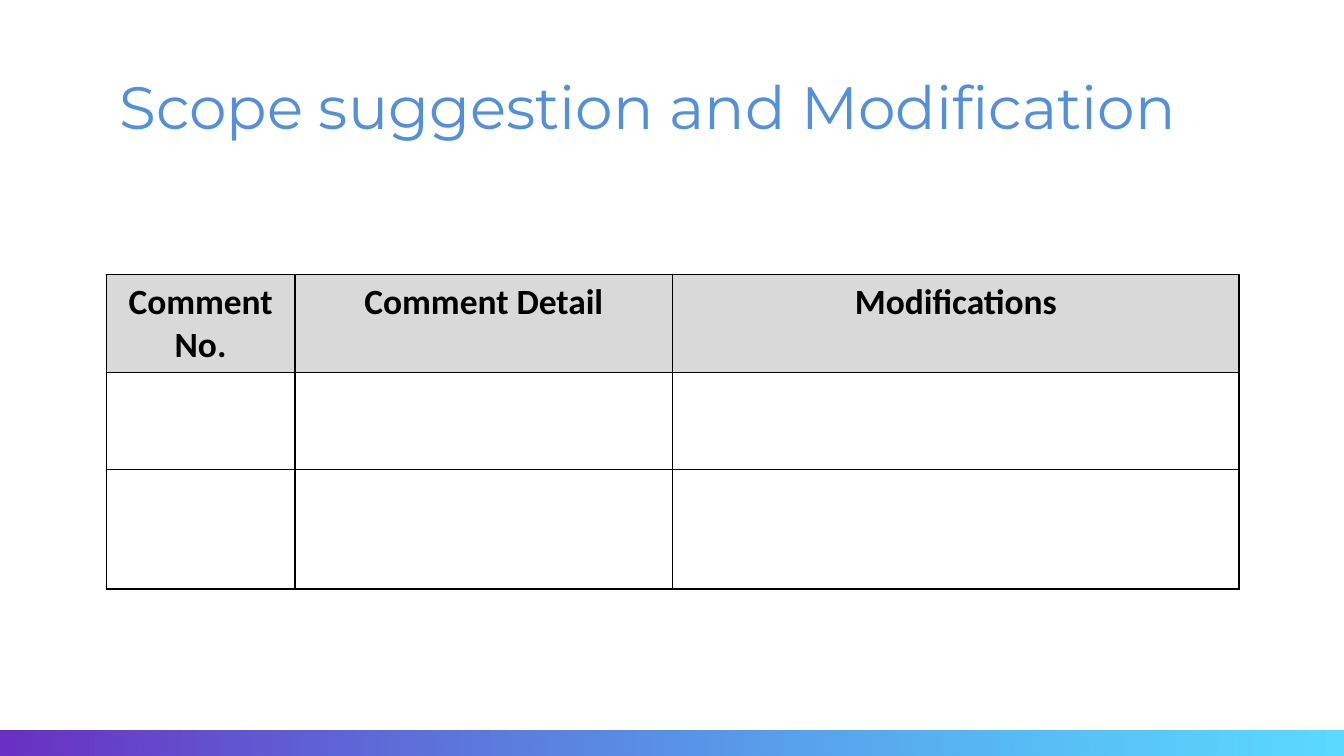
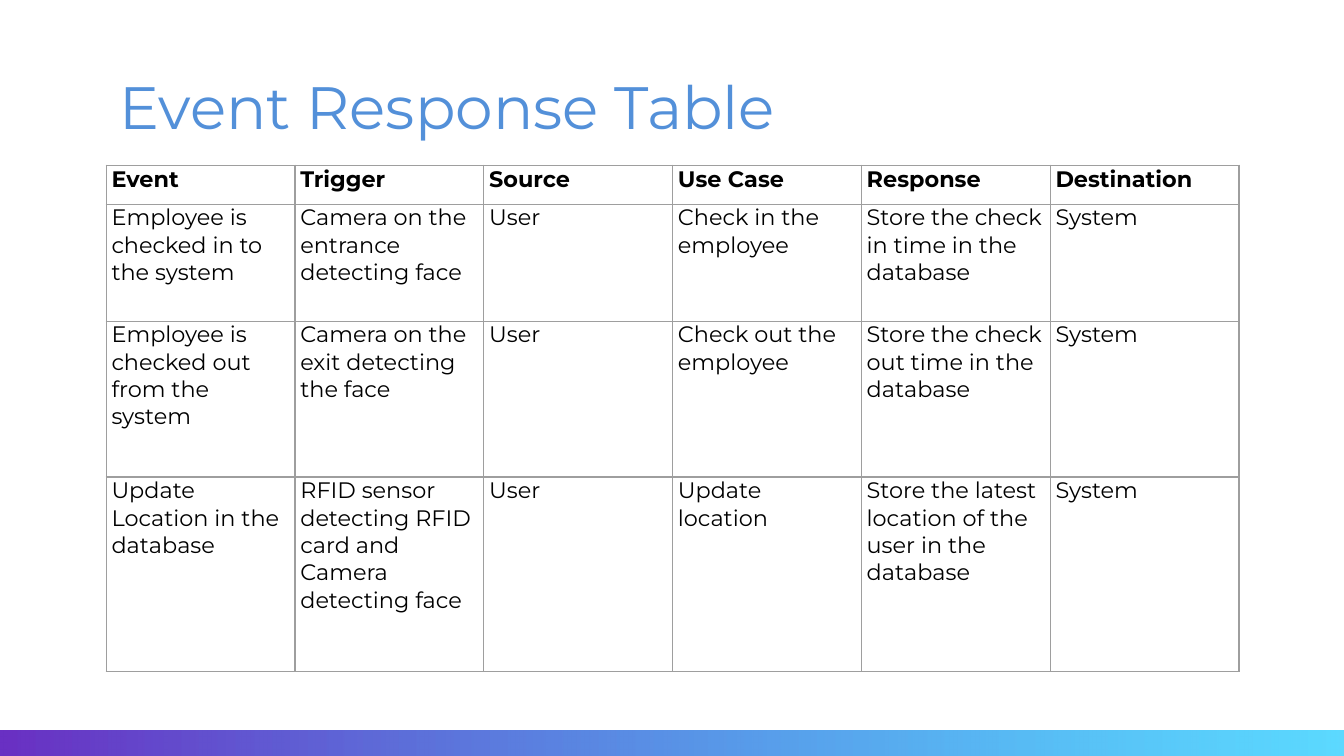
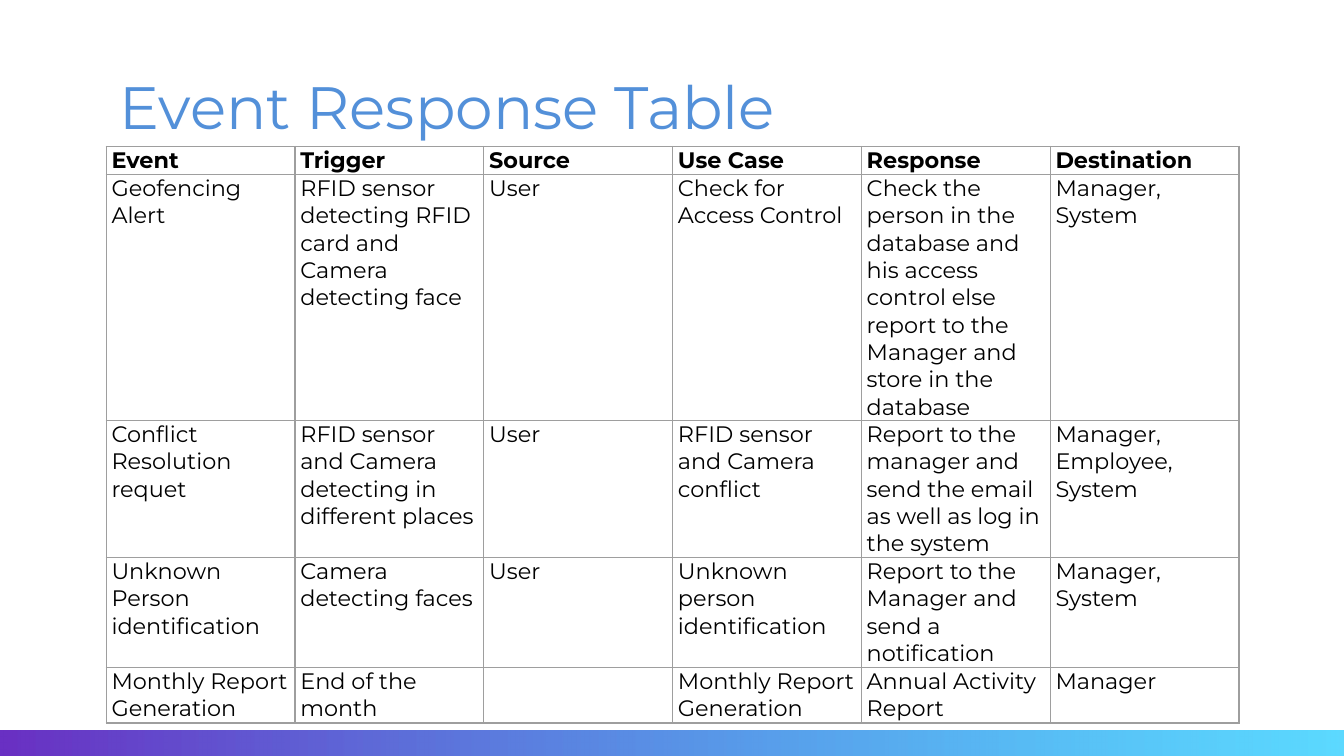
from dataclasses import dataclass

from lxml.etree import SubElement
from pptx import Presentation
from pptx.dml.color import RGBColor
from pptx.enum.shapes import MSO_SHAPE
from pptx.enum.text import MSO_ANCHOR, PP_ALIGN
from pptx.oxml.ns import qn
from pptx.slide import Slide
from pptx.table import _Cell as Cell
from pptx.text.text import TextFrame
from pptx.util import Inches, Pt


@dataclass(frozen=True)
class Theme:
    title_color: str = "5390D9"
    text_color: str = "000000"
    header_fill: str = "D9D9D9"
    grid_color: str = "9E9E9E"
    band_start: str = "6930C3"
    band_end: str = "00C4FF"
    band_end_opacity: int = 64
    font: str = "Montserrat"
    form_font: str = "Calibri"
    title_size: float = 32
    form_size: float = 19
    event_size: float = 12


THEME = Theme()
SLIDE_WIDTH = 10
SLIDE_HEIGHT = SLIDE_WIDTH * 9 / 16
MARGIN, CONTENT_WIDTH = 0.79, 8.43
BAND_HEIGHT = 0.19


@dataclass(frozen=True)
class TextStyle:
    font: str
    size: float
    color: str = THEME.text_color
    bold: bool = False
    align: PP_ALIGN = PP_ALIGN.LEFT


@dataclass(frozen=True)
class TableStyle:
    header: TextStyle
    body: TextStyle
    border_color: str
    border_width: float
    inset_x: float
    inset_y: float
    header_fill: str | None = None


@dataclass(frozen=True)
class TablePage:
    title: str
    top: float
    column_shares: tuple[int, ...]
    row_heights: tuple[float, ...]
    rows: tuple[tuple[str, ...], ...]  # "\n" starts a paragraph, "|" breaks a line
    style: TableStyle


TITLE_STYLE = TextStyle(THEME.font, THEME.title_size, THEME.title_color)
FORM_STYLE = TableStyle(
    header=TextStyle(THEME.form_font, THEME.form_size, bold=True, align=PP_ALIGN.CENTER),
    body=TextStyle(THEME.form_font, THEME.form_size),
    border_color=THEME.text_color,
    border_width=0.83,
    inset_x=0.09,
    inset_y=0.05,
    header_fill=THEME.header_fill,
)
EVENT_STYLE = TableStyle(
    header=TextStyle(THEME.font, THEME.event_size, bold=True),
    body=TextStyle(THEME.font, THEME.event_size),
    border_color=THEME.grid_color,
    border_width=0.75,
    inset_x=0.04,
    inset_y=0,
)

# Content
EVENT_TITLE = "Event Response Table"
EVENT_HEADER = ("Event", "Trigger", "Source", "Use Case", "Response", "Destination")
EVENT_SHARES = (1,) * len(EVENT_HEADER)
SENSOR_TRIGGER = "RFID sensor detecting RFID card and Camera detecting face"

PAGES = (
    TablePage(
        "Scope suggestion and Modification", 2.04, (1, 2, 3), (0.72, 0.72, 0.89),
        (("Comment|No.", "Comment Detail", "Modifications"), ("",) * 3, ("",) * 3),
        FORM_STYLE,
    ),
    TablePage(
        EVENT_TITLE, 1.23, EVENT_SHARES, (0.29, 0.87, 1.16, 1.45),
        (
            EVENT_HEADER,
            ("Employee is checked in to the system", "Camera on the entrance detecting face",
             "User", "Check in the employee", "Store the check in time in the database", "System"),
            ("Employee is checked out from the system", "Camera on the exit detecting the face",
             "User", "Check out the employee", "Store the check out time in the database", "System"),
            ("Update Location in the database", SENSOR_TRIGGER,
             "User", "Update location", "Store the latest location of the user in the database",
             "System"),
        ),
        EVENT_STYLE,
    ),
    TablePage(
        EVENT_TITLE, 1.09, EVENT_SHARES, (0.21, 1.83, 1.02, 0.82, 0.41),
        (
            EVENT_HEADER,
            ("Geofencing Alert", SENSOR_TRIGGER, "User", "Check for Access Control",
             "Check the person in the database and his access control else report to the "
             "Manager and store in the database", "Manager,\nSystem"),
            ("Conflict Resolution requet", "RFID sensor and Camera detecting in different places",
             "User", "RFID sensor and Camera conflict",
             "Report to the manager and send the email as well as log in the system",
             "Manager,\nEmployee,\nSystem"),
            ("Unknown Person identification", "Camera detecting faces", "User",
             "Unknown person identification", "Report to the Manager and send a notification",
             "Manager,\nSystem"),
            ("Monthly Report Generation", "End of the month", "", "Monthly Report Generation",
             "Annual Activity Report", "Manager"),
        ),
        EVENT_STYLE,
    ),
)


def write_text(frame: TextFrame, text: str, style: TextStyle) -> None:
    for index, paragraph_text in enumerate(text.split("\n")):
        para = frame.add_paragraph() if index else frame.paragraphs[0]
        para.alignment = style.align
        para.font.size = Pt(style.size)
        if not paragraph_text:
            continue
        for line_index, line in enumerate(paragraph_text.split("|")):
            if line_index:
                para.add_line_break()
            span = para.add_run()
            span.text = line
            span.font.name = style.font
            span.font.size = Pt(style.size)
            span.font.bold = style.bold
            span.font.color.rgb = RGBColor.from_string(style.color)


def add_title(page: Slide, title: str) -> None:
    box = page.shapes.add_textbox(
        Inches(MARGIN), Inches(0.42), Inches(CONTENT_WIDTH), Inches(0.67))
    frame = box.text_frame
    frame.word_wrap = True
    frame.vertical_anchor = MSO_ANCHOR.TOP
    frame.margin_left = frame.margin_right = Inches(0.1)
    frame.margin_top = frame.margin_bottom = Inches(0.1)
    write_text(frame, title, TITLE_STYLE)


def add_band(page: Slide) -> None:
    band = page.shapes.add_shape(
        MSO_SHAPE.RECTANGLE, 0, Inches(SLIDE_HEIGHT - BAND_HEIGHT),
        Inches(SLIDE_WIDTH), Inches(BAND_HEIGHT))
    band.shadow.inherit = False
    band.line.fill.background()
    band.fill.gradient()
    band.fill.gradient_angle = 0
    for stop, color in zip(band.fill.gradient_stops, (THEME.band_start, THEME.band_end)):
        stop.color.rgb = RGBColor.from_string(color)
    # The right end fades into the page
    end_color = list(band._element.spPr.iter(qn("a:srgbClr")))[-1]
    SubElement(end_color, qn("a:alpha"), val=str(THEME.band_end_opacity * 1000))


def set_borders(cell: Cell, color: str, width: float) -> None:
    properties = cell._tc.get_or_add_tcPr()
    for side in ("a:lnL", "a:lnR", "a:lnT", "a:lnB"):
        line = SubElement(properties, qn(side), w=str(Pt(width)))
        fill = SubElement(line, qn("a:solidFill"))
        SubElement(fill, qn("a:srgbClr"), val=color)


def format_cell(cell: Cell, text: str, style: TableStyle, is_header: bool) -> None:
    cell.margin_left = cell.margin_right = Inches(style.inset_x)
    cell.margin_top = cell.margin_bottom = Inches(style.inset_y)
    set_borders(cell, style.border_color, style.border_width)
    if is_header and style.header_fill:
        cell.fill.solid()
        cell.fill.fore_color.rgb = RGBColor.from_string(style.header_fill)
    else:
        cell.fill.background()
    write_text(cell.text_frame, text, style.header if is_header else style.body)


def add_table(page: Slide, content: TablePage) -> None:
    table = page.shapes.add_table(
        len(content.rows), len(content.column_shares),
        Inches(MARGIN), Inches(content.top),
        Inches(CONTENT_WIDTH), Inches(sum(content.row_heights))).table
    table.first_row = table.horz_banding = False
    for column, share in zip(table.columns, content.column_shares):
        column.width = Inches(CONTENT_WIDTH * share / sum(content.column_shares))
    for row, height in zip(table.rows, content.row_heights):
        row.height = Inches(height)
    for row_index, texts in enumerate(content.rows):
        for column_index, text in enumerate(texts):
            format_cell(table.cell(row_index, column_index), text, content.style, row_index == 0)


def main() -> None:
    deck = Presentation()
    deck.slide_width, deck.slide_height = Inches(SLIDE_WIDTH), Inches(SLIDE_HEIGHT)
    blank_layout = deck.slide_layouts[6]
    for content in PAGES:
        page = deck.slides.add_slide(blank_layout)
        add_band(page)
        add_title(page, content.title)
        add_table(page, content)
    deck.save("out.pptx")


if __name__ == "__main__":
    main()
